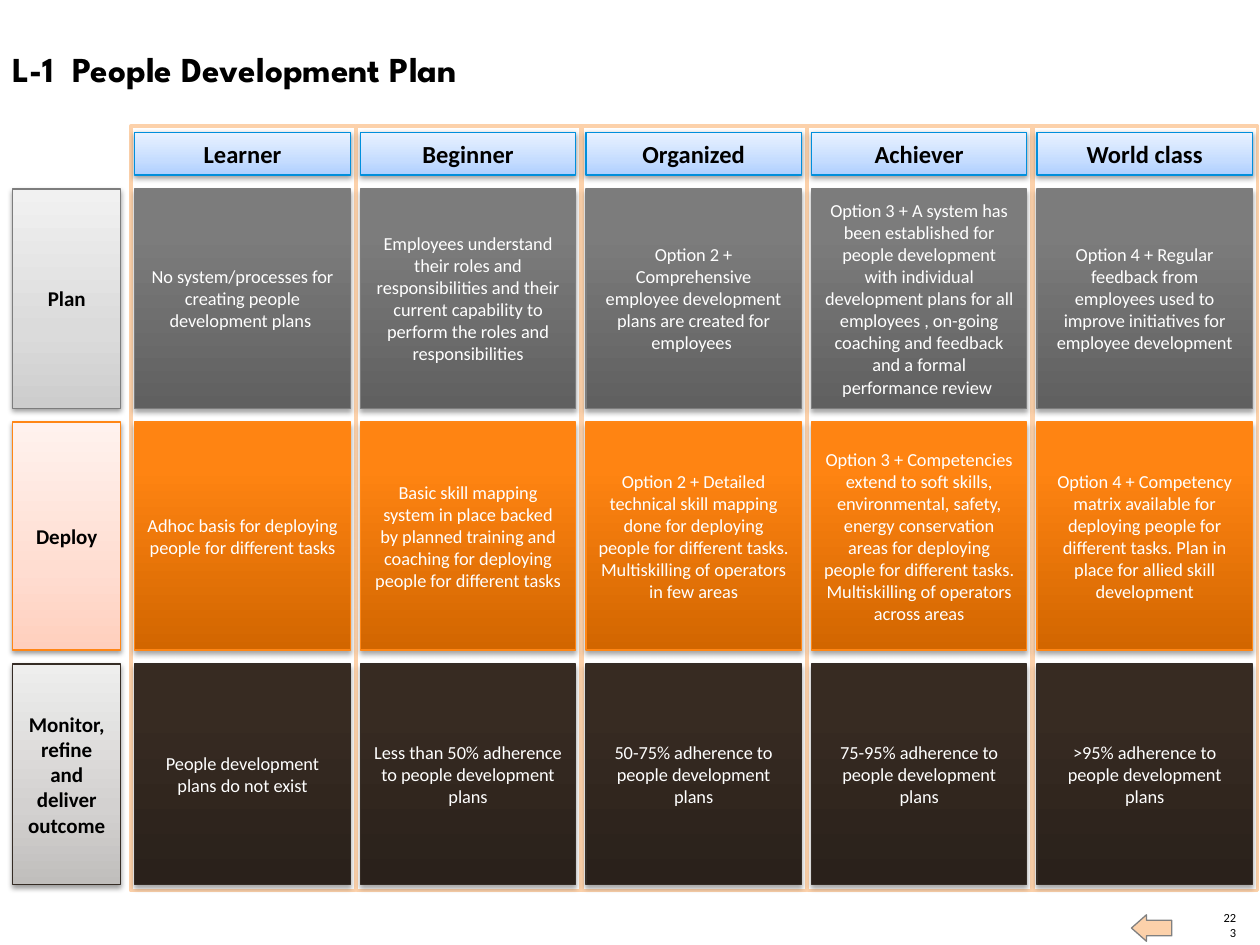
from lxml.etree import SubElement as add_node
from pptx import Presentation
from pptx.dml.color import RGBColor
from pptx.enum.shapes import MSO_SHAPE as Shape
from pptx.enum.text import MSO_ANCHOR as Anchor, MSO_AUTO_SIZE as AutoSize, PP_ALIGN as Align
from pptx.oxml.ns import qn
from pptx.util import Inches, Pt

color = RGBColor.from_string


def write(box, text, size, font="Calibri", ink="000000", bold=False,
          align=Align.CENTER, anchor=Anchor.MIDDLE):
    frame = box.text_frame
    frame.word_wrap = True
    frame.auto_size = AutoSize.NONE
    frame.vertical_anchor = anchor
    para = frame.paragraphs[0]
    para.alignment = align
    span = para.add_run()
    span.text = text
    span.font.name = font
    span.font.size = Pt(size)
    span.font.bold = bold
    span.font.color.rgb = color(ink)


def add_tile(left, top, width, height, stops, line, opacity, distance):
    tile = page.shapes.add_shape(Shape.RECTANGLE, Inches(left), Inches(top),
                                 Inches(width), Inches(height))
    tile.fill.gradient()
    tile.fill.gradient_angle = 90
    stop_list = next(tile.element.spPr.iter(qn("a:gsLst")))
    for old_stop in list(stop_list):
        stop_list.remove(old_stop)
    for position, shade in stops:
        stop = add_node(stop_list, qn("a:gs"), pos=str(position * 1000))
        add_node(stop, qn("a:srgbClr"), val=shade)
    tile.line.color.rgb = color(line)
    tile.line.width = Pt(0.75)
    tile.shadow.inherit = False
    effects = tile.element.spPr.find(qn("a:effectLst"))
    shadow = add_node(effects, qn("a:outerShdw"), blurRad=str(Pt(3.1)), dist=str(Pt(distance)),
                      dir="5400000", rotWithShape="0")
    shade = add_node(shadow, qn("a:srgbClr"), val="000000")
    add_node(shade, qn("a:alpha"), val=str(opacity * 1000))
    return tile


levels = ["Learner", "Beginner", "Organized", "Achiever", "World class"]
stages = [
    ("Plan", 1.5, 1.74, "7D7D7D", ["CDCDCD", "DBDBDB", "F1F1F1"], ["606060", "7C7C7C", "7D7D7D"], [
        "No system/processes for creating people development plans ",
        "Employees understand their roles and responsibilities and their current capability "
        "to perform the roles and responsibilities",
        "Option 2 + Comprehensive employee development plans are created for employees ",
        "Option 3 + A system has been established for people development with individual "
        "development plans for all employees , on-going coaching and feedback and a formal "
        "performance review ",
        "Option 4 + Regular feedback from employees used to improve initiatives for "
        "employee development",
    ]),
    ("Deploy", 3.35, 1.81, "FF8615", ["FFCFBD", "FFDDD1", "FFF2EE"], ["D26600", "FF8412", "FF8514"], [
        "Adhoc basis for deploying people for different tasks",
        "Basic skill mapping system in place backed by planned training and coaching for "
        "deploying people for different tasks",
        "Option 2 + Detailed technical skill mapping done for deploying people for different "
        "tasks. Multiskilling of operators in few areas",
        "Option 3 + Competencies extend to soft skills, environmental, safety, energy "
        "conservation areas for deploying people for different tasks. Multiskilling of "
        "operators across areas",
        "Option 4 + Competency matrix available for deploying people for different tasks. "
        "Plan in place for allied skill development",
    ]),
    ("Monitor, refine and deliver outcome", 5.27, 1.75, "352C25",
     ["C0BEBC", "D3D1D0", "EEEEED"], ["2A211B", "372B22", "372B22"], [
        "People development plans do not exist",
        "Less than 50% adherence to people development plans",
        "50-75% adherence to people development plans",
        "75-95% adherence to people development plans",
        ">95% adherence to people development plans",
    ]),
]
light_positions = [0, 35, 100]
dark_positions = [0, 80, 100]
header_stops = list(zip(light_positions, ["AECFFF", "C6DDFF", "E9F2FF"]))
column_pitch = 1.79
tile_left = 1.07
tile_width = 1.71

deck = Presentation()
deck.slide_width = Inches(10)
deck.slide_height = Inches(7.5)
page = deck.slides.add_slide(deck.slide_layouts[6])

number = page.shapes.add_textbox(Inches(9.69), Inches(7.34), Inches(0.12), Inches(0.12))
write(number, "223", 7.1, align=Align.RIGHT, anchor=Anchor.BOTTOM)
frame = number.text_frame
frame.margin_left = frame.margin_right = frame.margin_top = frame.margin_bottom = 0

arrow = page.shapes.add_shape(Shape.RIGHT_ARROW, Inches(8.98), Inches(7.26),
                              Inches(0.32), Inches(0.21))
arrow.rotation = 180
arrow.adjustments[0] = 0.588
arrow.adjustments[1] = 0.565
arrow.shadow.inherit = False
arrow.fill.solid()
arrow.fill.fore_color.rgb = color("FCD1AA")
arrow.line.color.rgb = color("808080")
arrow.line.width = Pt(0.75)

title = page.shapes.add_textbox(0, Inches(0.33), Inches(8.6), Inches(0.44))
write(title, "L-1  People Development Plan", 20, font="League Spartan", bold=True,
      align=Align.LEFT, anchor=Anchor.TOP)

for name, top, height, line, light, dark, notes in stages:
    label = add_tile(0.1, top, 0.86, height, zip(light_positions, light), line, 38, 1.6)
    write(label, name, 12, bold=True)

for column in range(len(levels)):
    border = page.shapes.add_shape(Shape.RECTANGLE, Inches(1.04 + column * column_pitch),
                                   Inches(1), Inches(1.78), Inches(6.07))
    border.shadow.inherit = False
    border.fill.solid()
    border.fill.fore_color.rgb = color("FFFFFF")
    border.line.color.rgb = color("FCD1AA")
    border.line.width = Pt(2)

for name, top, height, line, light, dark, notes in stages:
    for column, note in enumerate(notes):
        cell = add_tile(tile_left + column * column_pitch, top, tile_width, height,
                        zip(dark_positions, dark), line, 35, 1.8)
        write(cell, note, 10.5, ink="FFFFFF")

for column, level in enumerate(levels):
    header = add_tile(tile_left + column * column_pitch, 1.05, tile_width, 0.34,
                      header_stops, "008FDC", 38, 1.6)
    write(header, level, 14, bold=True)

deck.save("out.pptx")
